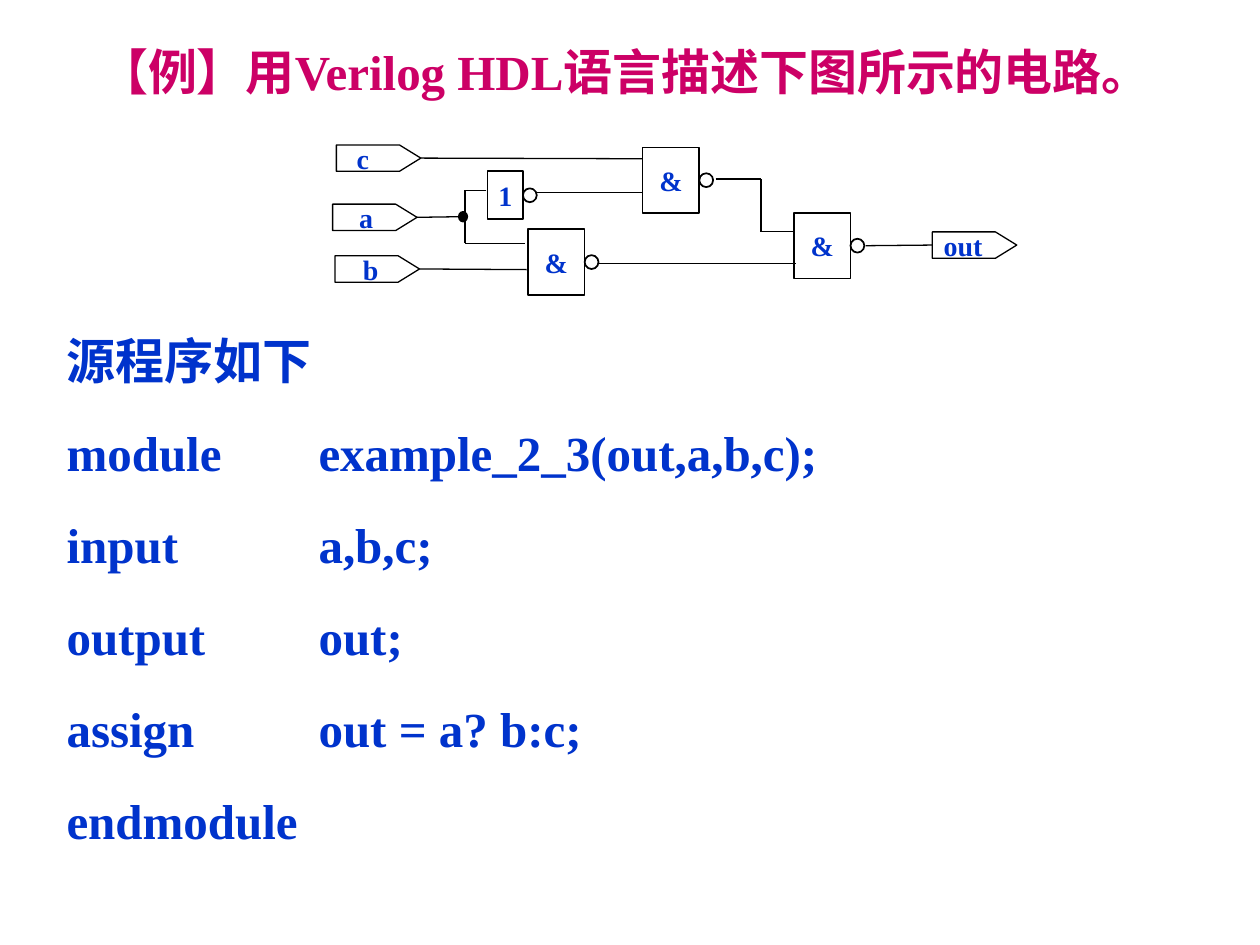
from pptx import Presentation
from pptx.dml.color import RGBColor
from pptx.enum.shapes import MSO_CONNECTOR, MSO_SHAPE
from pptx.enum.text import MSO_ANCHOR, MSO_AUTO_SIZE, PP_ALIGN
from pptx.oxml.ns import qn
from pptx.util import Inches, Pt
from lxml.etree import SubElement

COLS, ROWS = 100, 75
WIDE, HIGH = Inches(10), Inches(7.5)
FONT = "Times New Roman"
HUES = {"title": "CC0066", "text": "0033CC", "line": "000000"}

CODE = [
    "源程序如下",
    "module\texample_2_3(out,a,b,c);",
    "input\ta,b,c;",
    "output\tout;",
    "assign\tout = a? b:c;",
    "endmodule",
]
TAGS = {
    "c": (26.7, 11.5, 1.6),
    "a": (26.4, 16.2, 2.1),
    "b": (26.6, 20.3, 2.2),
    "out": (74, 18.4, 0.9),
}
GATES = [
    ("&", 51, 11.7, 4.5, 5.2),
    ("&", 63, 16.9, 4.5, 5.2),
    ("1", 38.7, 13.6, 2.8, 3.8),
    ("&", 41.9, 18.2, 4.5, 5.2),
]
BALL = 1.1
WIRES = [
    [(47.5, 20.9), (63.2, 20.9)],
    [(42.6, 15.3), (51, 15.3)],
    [(56.8, 14.2), (60.4, 14.2), (60.4, 18.4), (62.9, 18.4)],
    [(38.6, 15.1), (36.9, 15.1), (36.9, 19.3), (41.7, 19.3)],
]
LEADS = {"c": (51, 12.6), "a": (36.6, 17.2), "b": (41.8, 21.4)}


def hue(name):
    return RGBColor.from_string(HUES[name])


def spot(x, y):
    return round(WIDE * x / COLS), round(HIGH * y / ROWS)


def style(para, size, name, align):
    para.alignment = align
    font = para.font
    font.name, font.size, font.bold = FONT, Pt(size), True
    font.color.rgb = hue(name)


def add_title(slide, text):
    title = slide.shapes.title
    title.left, title.top = spot(5.8, 2.8)
    title.width, title.height = spot(87.6, 5.7)
    frame = title.text_frame
    frame.text = text
    frame.word_wrap = False
    frame.auto_size = MSO_AUTO_SIZE.NONE
    frame.vertical_anchor = MSO_ANCHOR.TOP
    style(frame.paragraphs[0], 28, "title", PP_ALIGN.CENTER)


def add_tab(para, x):
    tabs = SubElement(para._p.get_or_add_pPr(), qn("a:tabLst"))
    SubElement(tabs, qn("a:tab"), pos=str(spot(x, 0)[0]), algn="l")


def add_code(slide, lines):
    box = slide.shapes.add_textbox(*spot(4.3, 25.7), *spot(92.5, 41.2))
    frame = box.text_frame
    frame.word_wrap = True
    for row, line in enumerate(lines):
        para = frame.add_paragraph() if row else frame.paragraphs[0]
        para.text = line
        add_tab(para, 20)
        if row:
            para.space_before = Pt(19)
        style(para, 28, "text", PP_ALIGN.LEFT)


def add_form(slide, kind, x, y, w, h, line=1, fill=None):
    form = slide.shapes.add_shape(kind, *spot(x, y), *spot(w, h))
    form.shadow.inherit = False
    form.line.color.rgb = hue("line")
    form.line.width = Pt(line)
    if fill:
        form.fill.solid()
        form.fill.fore_color.rgb = hue(fill)
    else:
        form.fill.background()
    return form


def label(form, text, align, inset=0):
    frame = form.text_frame
    frame.text = text
    frame.word_wrap = False
    frame.margin_left = spot(inset, 0)[0]
    frame.margin_right = frame.margin_top = frame.margin_bottom = 0
    frame.vertical_anchor = MSO_ANCHOR.MIDDLE
    style(frame.paragraphs[0], 16, "text", align)


def add_tag(slide, text, x, y, inset):
    tag = add_form(slide, MSO_SHAPE.PENTAGON, x, y, 6.7, 2.1, 0.75)
    tag.adjustments[0] = 0.81
    label(tag, text, PP_ALIGN.LEFT, inset)
    return tag


def add_gate(slide, text, x, y, w, h):
    add_form(slide, MSO_SHAPE.OVAL, x + w, y + (h - BALL) / 2, BALL, BALL)
    gate = add_form(slide, MSO_SHAPE.RECTANGLE, x, y, w, h)
    label(gate, text, PP_ALIGN.CENTER)


def add_wire(slide, start, end):
    wire = slide.shapes.add_connector(
        MSO_CONNECTOR.STRAIGHT, *spot(*start), *spot(*end))
    wire.line.color.rgb = hue("line")
    wire.line.width = Pt(0.75)
    SubElement(wire._element.spPr, qn("a:effectLst"))
    return wire


def main():
    deck = Presentation()
    deck.slide_width, deck.slide_height = WIDE, HIGH
    slide = deck.slides.add_slide(deck.slide_layouts[5])
    add_title(slide, "【例】用Verilog HDL语言描述下图所示的电路。")
    add_code(slide, CODE)
    for gate in GATES:
        add_gate(slide, *gate)
    tags = {name: add_tag(slide, name, *place) for name, place in TAGS.items()}
    for path in WIRES:
        for start, end in zip(path, path[1:]):
            add_wire(slide, start, end)
    for name, end in LEADS.items():
        add_wire(slide, end, end).begin_connect(tags[name], 3)
    add_wire(slide, (68.7, 19.5), (74, 19.5)).end_connect(tags["out"], 1)
    add_form(slide, MSO_SHAPE.OVAL, 36.4, 16.8, 0.7, 0.8, 0.75, "line")
    deck.save("out.pptx")


if __name__ == "__main__":
    main()
